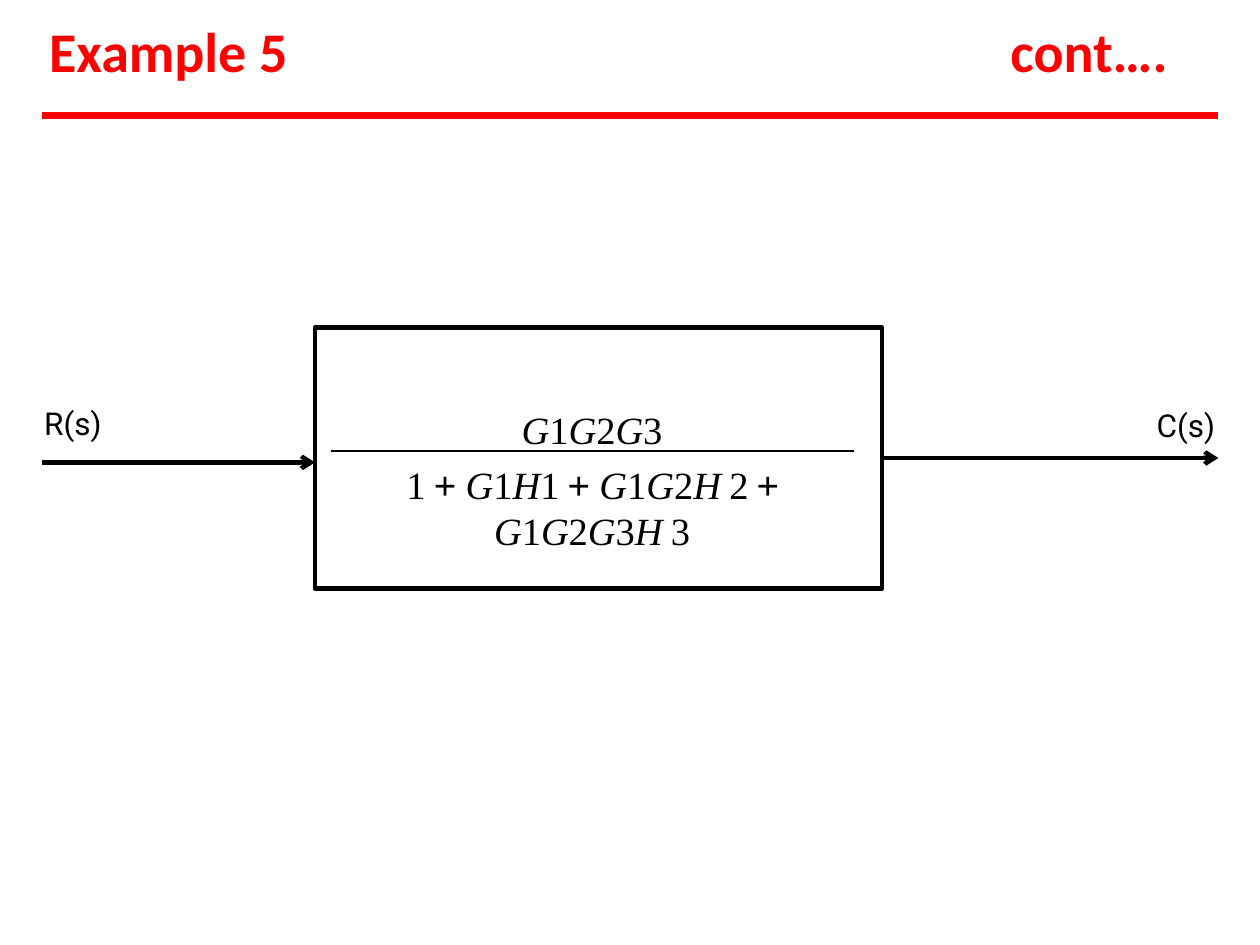
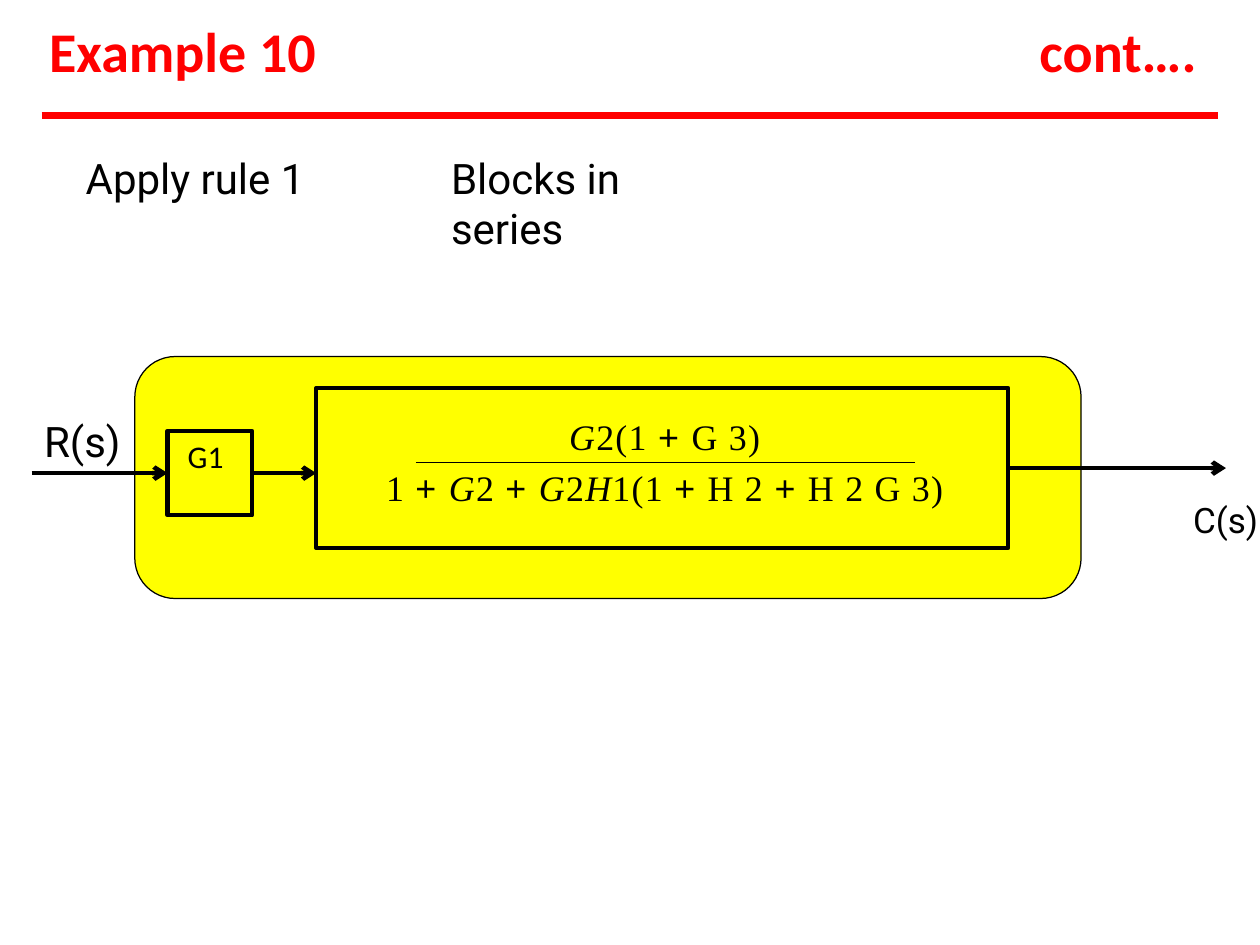
from dataclasses import dataclass

from lxml.etree import SubElement
from pptx import Presentation
from pptx.dml.color import RGBColor
from pptx.enum.shapes import MSO_CONNECTOR, MSO_SHAPE
from pptx.enum.text import MSO_ANCHOR, PP_ALIGN
from pptx.oxml.ns import qn
from pptx.util import Inches, Pt


@dataclass(frozen=True)
class Theme:
    red: str = "FF0000"
    black: str = "000000"
    yellow: str = "FFFF00"
    title_font: str = "Calibri"
    label_font: str = "Roboto"
    math_font: str = "Times New Roman"
    plus_font: str = "Arial"
    title_size: float = 32
    block_size: float = 18
    title_rule: float = 3.96
    flow: float = 2.52
    fraction: float = 1
    outline: float = 0.72


T = Theme()
LEFT, TOP, RIGHT, BOTTOM = 1, 0, 3, 2

# Formula lines: letters between asterisks are italic.
# Boxes are (left, top, width, height); insets are (left, top, right).
SLIDES = [
    {
        "title": "Example 5",
        "cont_left": 8.01,
        "labels": [("R(s)", (0.34, 3.2, 0.55, 0.33), 18),
                   ("C(s)", (9.17, 3.21, 0.55, 0.33), 18)],
        "blocks": {"transfer": {
            "box": (2.5, 2.6, 4.5, 2.07), "inset": (0.1, 0.62, 0.2),
            "size": 22, "spacing": -0.8, "gap": 5,
            "lines": ["*G*1*G*2*G*3",
                      "1 + *G*1*H*1 + *G*1*G*2*H *2 + *G*1*G*2*G*3*H *3"],
            "rule": (2.63, 6.78, 3.58)}},
        # (from x, to x, y or None for the joined block's middle, from block, to block)
        "arrows": [(0.33, 2.5, 3.67, None, None),
                   (7, 9.67, None, "transfer", None)],
    },
    {
        "title": "Example 10",
        "cont_left": 8.24,
        "labels": [("R(s)", (0.34, 3.29, 0.7, 0.43), 24),
                   ("C(s)", (9.46, 3.95, 0.54, 0.36), 20),
                   ("Apply rule 1", (0.67, 1.2, 1.9, 0.43), 24),
                   ("Blocks in series", (3.57, 1.2, 2.2, 0.43), 24)],
        "panel": (1.07, 2.83, 7.51, 1.92),
        "blocks": {
            "gain": {"box": (1.33, 3.42, 0.67, 0.67), "label": "G1",
                     "inset": (0.16, 0.05, 0)},
            "transfer": {
                "box": (2.51, 3.08, 5.49, 1.27), "inset": (0.04, 0.21, 0),
                "size": 20.5, "spacing": 0.7, "gap": 4.7,
                "lines": ["*G*2(1 + G 3)",
                          "1 + *G*2 + *G*2*H*1(1 + H 2 + H 2 G 3)"],
                "rule": (3.3, 7.26, 3.67)}},
        "arrows": [(0.25, 1.33, None, None, "gain"),
                   (2, 2.51, None, "gain", None),
                   (8, 9.73, None, "transfer", None)],
    },
]


def color(value):
    return RGBColor.from_string(value)


def place(box):
    return [Inches(v) for v in box]


def set_frame(shape, inset):
    tf = shape.text_frame
    left, top, right = inset
    frame = {"word_wrap": True, "vertical_anchor": MSO_ANCHOR.TOP,
             "margin_left": Inches(left), "margin_top": Inches(top),
             "margin_right": Inches(right), "margin_bottom": 0}
    for name, value in frame.items():
        setattr(tf, name, value)
    return tf


def add_run(p, text, font, size, ink=T.black, bold=False, italic=False, spacing=0):
    r = p.add_run()
    r.text = text
    style = {"name": font, "size": Pt(size), "bold": bold, "italic": italic}
    for name, value in style.items():
        setattr(r.font, name, value)
    r.font.color.rgb = color(ink)
    if spacing:
        r.font._element.set("spc", str(round(spacing * 100)))


def add_text(s, text, box, font, size, **style):
    tf = set_frame(s.shapes.add_textbox(*place(box)), (0.01, 0.01, 0))
    add_run(tf.paragraphs[0], text, font, size, **style)


def add_line(s, x1, x2, y, ink, width):
    c = s.shapes.add_connector(MSO_CONNECTOR.STRAIGHT, Inches(x1), Inches(y),
                               Inches(x2), Inches(y))
    c.line.color.rgb = color(ink)
    c.line.width = Pt(width)
    SubElement(c._element.spPr, qn("a:effectLst"))
    return c


def add_arrow(s, blocks, shapes, x1, x2, y, start, end):
    if y is None:
        _, top, _, height = blocks[start or end]["box"]
        y = top + height / 2
    c = add_line(s, x1, x2, y, T.black, T.flow)
    SubElement(c.line._get_or_add_ln(), qn("a:tailEnd"), type="arrow")
    if start:
        c.begin_connect(shapes[start], RIGHT)
    if end:
        c.end_connect(shapes[end], LEFT)


def add_box(s, kind, box, width, fill=None):
    shape = s.shapes.add_shape(kind, *place(box))
    shape.shadow.inherit = False
    shape.line.color.rgb = color(T.black)
    shape.line.width = Pt(width)
    if fill:
        shape.fill.solid()
        shape.fill.fore_color.rgb = color(fill)
    else:
        shape.fill.background()
    return shape


def add_formula(tf, block):
    for i, line in enumerate(block["lines"]):
        p = tf.add_paragraph() if i else tf.paragraphs[0]
        p.alignment = PP_ALIGN.CENTER
        if i:
            p.space_before = Pt(block["gap"])
        for j, part in enumerate(line.split("*")):
            for k, piece in enumerate(part.split("+ ")):
                if k:
                    add_run(p, "+ ", T.plus_font, block["size"],
                            spacing=block["spacing"])
                if piece:
                    add_run(p, piece, T.math_font, block["size"],
                            italic=j % 2 == 1, spacing=block["spacing"])


def add_block(s, block):
    shape = add_box(s, MSO_SHAPE.RECTANGLE, block["box"], T.flow)
    tf = set_frame(shape, block["inset"])
    if "lines" in block:
        add_formula(tf, block)
        add_line(s, *block["rule"], T.black, T.fraction)
    else:
        tf.paragraphs[0].alignment = PP_ALIGN.LEFT
        add_run(tf.paragraphs[0], block["label"], T.title_font, T.block_size)
    return shape


def add_header(s, title, cont_left):
    for text, left, width in ((title, 0.38, 2.4), ("cont….", cont_left, 1.5)):
        add_text(s, text, (left, 0.12, width, 0.56), T.title_font, T.title_size,
                 ink=T.red, bold=True)
    add_line(s, 0.33, 9.67, 0.92, T.red, T.title_rule)


def build_slide(prs, content):
    s = prs.slides.add_slide(prs.slide_layouts[6])
    add_header(s, content["title"], content["cont_left"])
    if "panel" in content:
        add_box(s, MSO_SHAPE.ROUNDED_RECTANGLE, content["panel"], T.outline, T.yellow)
    blocks = content["blocks"]
    shapes = {name: add_block(s, block) for name, block in blocks.items()}
    for arrow in content["arrows"]:
        add_arrow(s, blocks, shapes, *arrow)
    for text, box, size in content["labels"]:
        add_text(s, text, box, T.label_font, size)


def main():
    prs = Presentation()
    prs.slide_width, prs.slide_height = Inches(10), Inches(7.5)
    for content in SLIDES:
        build_slide(prs, content)
    prs.save("out.pptx")


if __name__ == "__main__":
    main()
